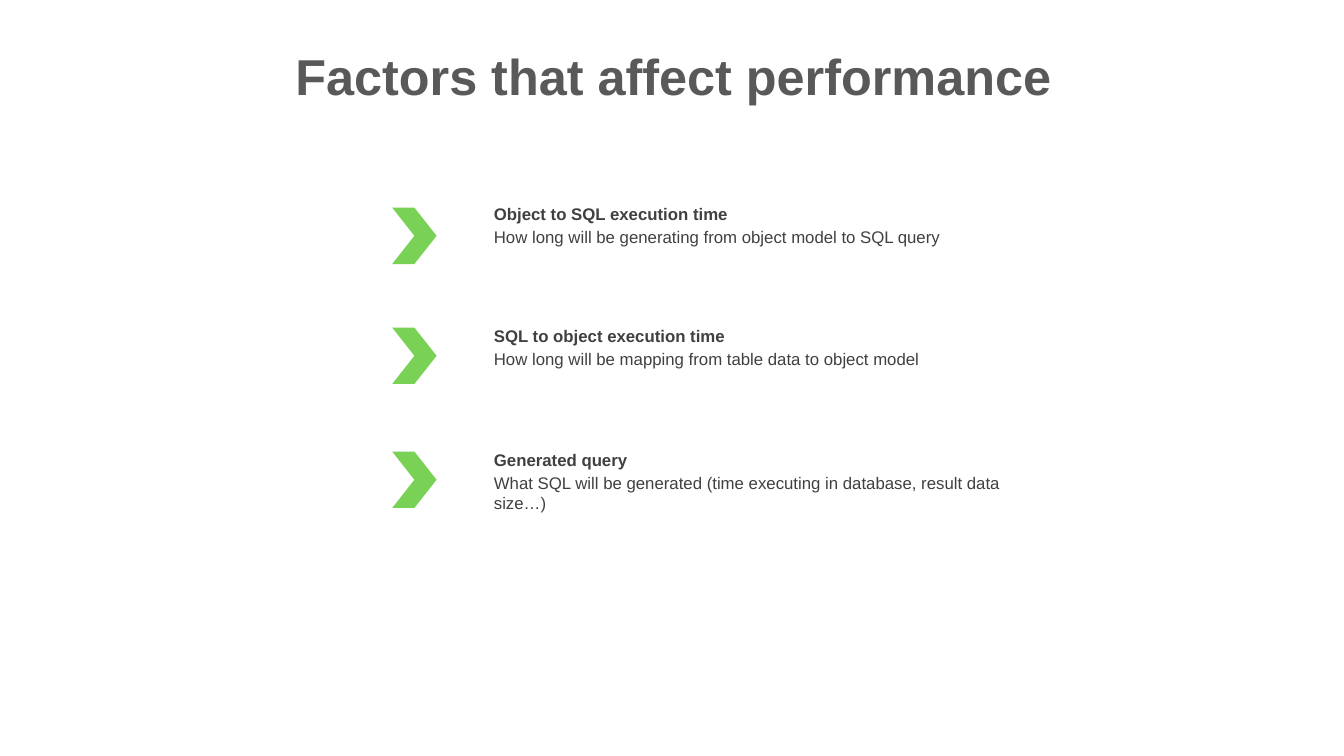
from dataclasses import dataclass

from pptx import Presentation
from pptx.dml.color import RGBColor
from pptx.enum.shapes import MSO_SHAPE
from pptx.enum.text import MSO_ANCHOR, MSO_AUTO_SIZE, PP_ALIGN
from pptx.util import Pt

CHEVRON = MSO_SHAPE.CHEVRON
MIDDLE, TOP = MSO_ANCHOR.MIDDLE, MSO_ANCHOR.TOP
CENTER, LEFT = PP_ALIGN.CENTER, PP_ALIGN.LEFT
NO_FIT, GROW = MSO_AUTO_SIZE.NONE, MSO_AUTO_SIZE.SHAPE_TO_FIT_TEXT

# Content: chevron top, heading top, heading, detail, detail height (px)
HEADLINE = "Factors that affect performance"
FACTORS = [
    (206, 197, "Object to SQL execution time",
     "How long will be generating from object model to SQL query", 30),
    (325, 318, "SQL to object execution time",
     "How long will be mapping from table data to object model", 30),
    (448, 441, "Generated query",
     "What SQL will be generated (time executing in database, result data size…)", 50),
]

# Layout in px, 100 to the inch
EMU_PER_PX = 9144
SLIDE_SIZE = (1333, 750)
HEADLINE_BOX = (35, 37, 1266, 79)
CHEVRON_LEFT, CHEVRON_WIDTH, CHEVRON_HEIGHT = 389, 44, 56
TEXT_LEFT, TEXT_WIDTH, HEADING_HEIGHT = 480, 539, 30
DETAIL_STEP = 23


@dataclass(frozen=True)
class Theme:
    font: str = "Arial"
    headline: RGBColor = RGBColor(0x59, 0x59, 0x59)
    text: RGBColor = RGBColor(0x40, 0x40, 0x40)
    accent: RGBColor = RGBColor(0x79, 0xD1, 0x55)
    headline_size: Pt = Pt(36)
    text_size: Pt = Pt(12)


THEME = Theme()


def emu(*lengths):
    return [length * EMU_PER_PX for length in lengths]


def apply(target, formats):
    for name, value in formats.items():
        setattr(target, name, value)


def write(box, words, size, color, bold, frame_format, paragraph_format):
    frame = box.text_frame
    inset, = emu(10)
    apply(frame, {"word_wrap": True, "margin_left": inset, "margin_right": inset,
                  **frame_format})
    paragraph = frame.paragraphs[0]
    apply(paragraph, paragraph_format)
    run = paragraph.add_run()
    run.text = words
    apply(run.font, {"name": THEME.font, "size": size, "bold": bold})
    run.font.color.rgb = color


def add_factor(slide, chevron_top, heading_top, heading, detail, detail_height):
    chevron = slide.shapes.add_shape(
        CHEVRON, *emu(CHEVRON_LEFT, chevron_top, CHEVRON_WIDTH, CHEVRON_HEIGHT))
    chevron.shadow.inherit = False
    chevron.fill.solid()
    chevron.fill.fore_color.rgb = THEME.accent
    chevron.line.fill.background()

    pair = slide.shapes.add_group_shape()
    lines = [(detail, heading_top + DETAIL_STEP, detail_height, False),
             (heading, heading_top, HEADING_HEIGHT, True)]
    for words, top, height, bold in lines:
        box = pair.shapes.add_textbox(*emu(TEXT_LEFT, top, TEXT_WIDTH, height))
        write(box, words, THEME.text_size, THEME.text, bold,
              {"auto_size": GROW, "vertical_anchor": TOP}, {"alignment": LEFT})


def main():
    deck = Presentation()
    deck.slide_width, deck.slide_height = emu(*SLIDE_SIZE)
    slide = deck.slides.add_slide(deck.slide_layouts[5])

    # Headline
    headline = slide.shapes.title
    apply(headline, dict(zip(("left", "top", "width", "height"), emu(*HEADLINE_BOX))))
    top_inset, bottom_inset = emu(10, 5)
    write(headline, HEADLINE, THEME.headline_size, THEME.headline, True,
          {"auto_size": NO_FIT, "vertical_anchor": MIDDLE,
           "margin_top": top_inset, "margin_bottom": bottom_inset},
          {"alignment": CENTER, "line_spacing": 0.9, "space_before": Pt(10)})

    # Factors
    for factor in FACTORS:
        add_factor(slide, *factor)

    deck.save("out.pptx")


if __name__ == "__main__":
    main()
